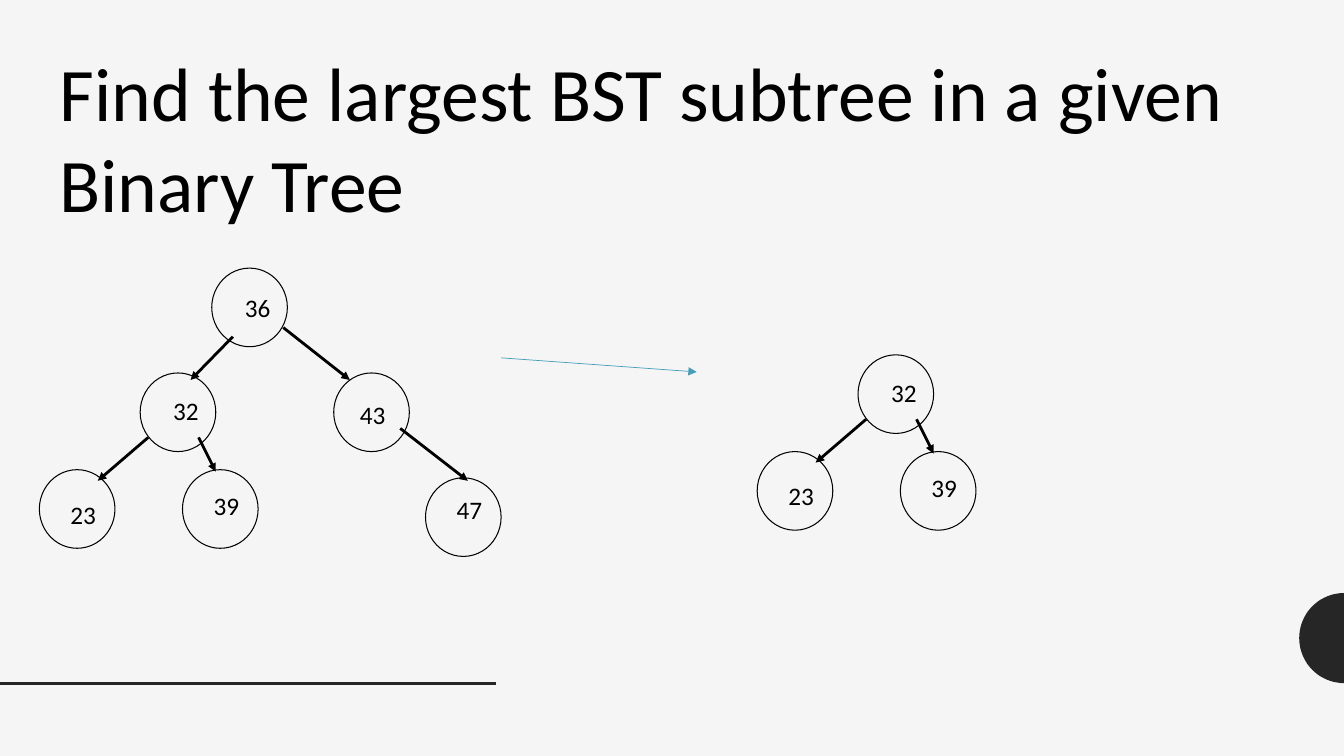
"""Build a slide on finding the largest BST subtree in a binary tree."""
import math
from lxml import etree
from pptx import Presentation, util as u
from pptx.dml.color import RGBColor
from pptx.enum import shapes, text
from pptx.oxml.ns import qn

BLACK = RGBColor(0x00, 0x00, 0x00)
DARK = RGBColor(0x26, 0x26, 0x26)
TEAL = RGBColor(0x43, 0x9E, 0xB7)
PALE = RGBColor(0xF5, 0xF5, 0xF5)

COLS, ROWS = 133.33, 75
deck = Presentation()
deck.slide_width, deck.slide_height = u.Inches(13.33), u.Inches(7.5)
cell = deck.slide_height / ROWS
slide = deck.slides.add_slide(deck.slide_layouts[5])
slide.background.fill.solid()
slide.background.fill.fore_color.rgb = PALE


def write(box, words, size=18, wrap=False, anchor=text.MSO_ANCHOR.TOP):
    frame = box.text_frame
    frame.word_wrap = wrap
    frame.auto_size = text.MSO_AUTO_SIZE.NONE
    frame.vertical_anchor = anchor
    frame.margin_left = frame.margin_right = u.Inches(0.1)
    frame.margin_top = frame.margin_bottom = u.Inches(0.05)
    para = frame.paragraphs[0]
    para.alignment = text.PP_ALIGN.LEFT
    run = para.add_run()
    run.text = words
    run.font.name, run.font.size = "Calibri", u.Pt(size)
    run.font.color.rgb = BLACK


def link(ends, color=BLACK, width=2, head=True):
    line = slide.shapes.add_connector(
        shapes.MSO_CONNECTOR.STRAIGHT, *[round(end * cell) for end in ends])
    line.line.color.rgb = color
    line.line.width = u.Pt(width)
    if head:
        etree.SubElement(line.line._get_or_add_ln(), qn("a:tailEnd"), type="triangle")
    etree.SubElement(line._element.spPr, qn("a:effectLst"))


title = slide.shapes.title
title.left, title.top, title.width, title.height = [
    round(n * cell) for n in (4.9, 4, 124.3, 19.2)]
write(title, "Find the largest BST subtree in a given Binary Tree", size=54,
      wrap=True, anchor=text.MSO_ANCHOR.MIDDLE)

mid, rad, steps = 63.3, 4.47, 40
arc = [(COLS - rad * math.sin(math.pi * n / steps),
        mid - rad * math.cos(math.pi * n / steps)) for n in range(steps + 1)]
pen = slide.shapes.build_freeform(round(arc[0][0] * 100), round(arc[0][1] * 100), cell / 100)
pen.add_line_segments([(round(x * 100), round(y * 100)) for x, y in arc[1:]])
half = pen.convert_to_shape()
half.shadow.inherit = False
half.fill.solid()
half.fill.fore_color.rgb = DARK
half.line.fill.background()
link((0, 67.8, 49.2, 67.8), DARK, head=False)

# Each node: number, circle left and top, label shift right and down.
top = [("36", 21, 26.6, 2.3, 1.9), ("43", 33.1, 37, 1.6, 2.1), ("47", 42.2, 47.4, 2.1, 1.2)]
sub = [("32", 13.9, 37, 2.3, 1.7), ("23", 3.9, 46.6, 2.1, 2.4), ("39", 18.1, 46.6, 2.1, 1.6)]
above = [(23.1, 33.4, 18.9, 37.7), (28.1, 32.5, 34.7, 37.7), (39.7, 42.5, 46.4, 47.7)]
below = [(14.7, 43.4, 9.7, 47.7), (19.7, 43.4, 21.4, 46.8)]

for nodes, edges, right, down in (
        (top + sub, above + below, 0, 0), (sub, below, 71.2, -1.8)):
    for label, x, y, dx, dy in nodes:
        x, y = x + right, y + down
        ring = slide.shapes.add_shape(
            shapes.MSO_SHAPE.OVAL, *[round(n * cell) for n in (x, y, 7.5, 7.8)])
        ring.shadow.inherit = False
        ring.fill.background()
        ring.line.color.rgb = BLACK
        ring.line.width = u.Pt(0.75)
        box = slide.shapes.add_textbox(*[round(n * cell) for n in (x + dx, y + dy, 5, 4)])
        write(box, label, wrap=True)
    for x, y, tox, toy in edges:
        link((x + right, y + down, tox + right, toy + down))

link((49.7, 35.5, 69.1, 36.9), TEAL, 0.5)

deck.save("out.pptx")
